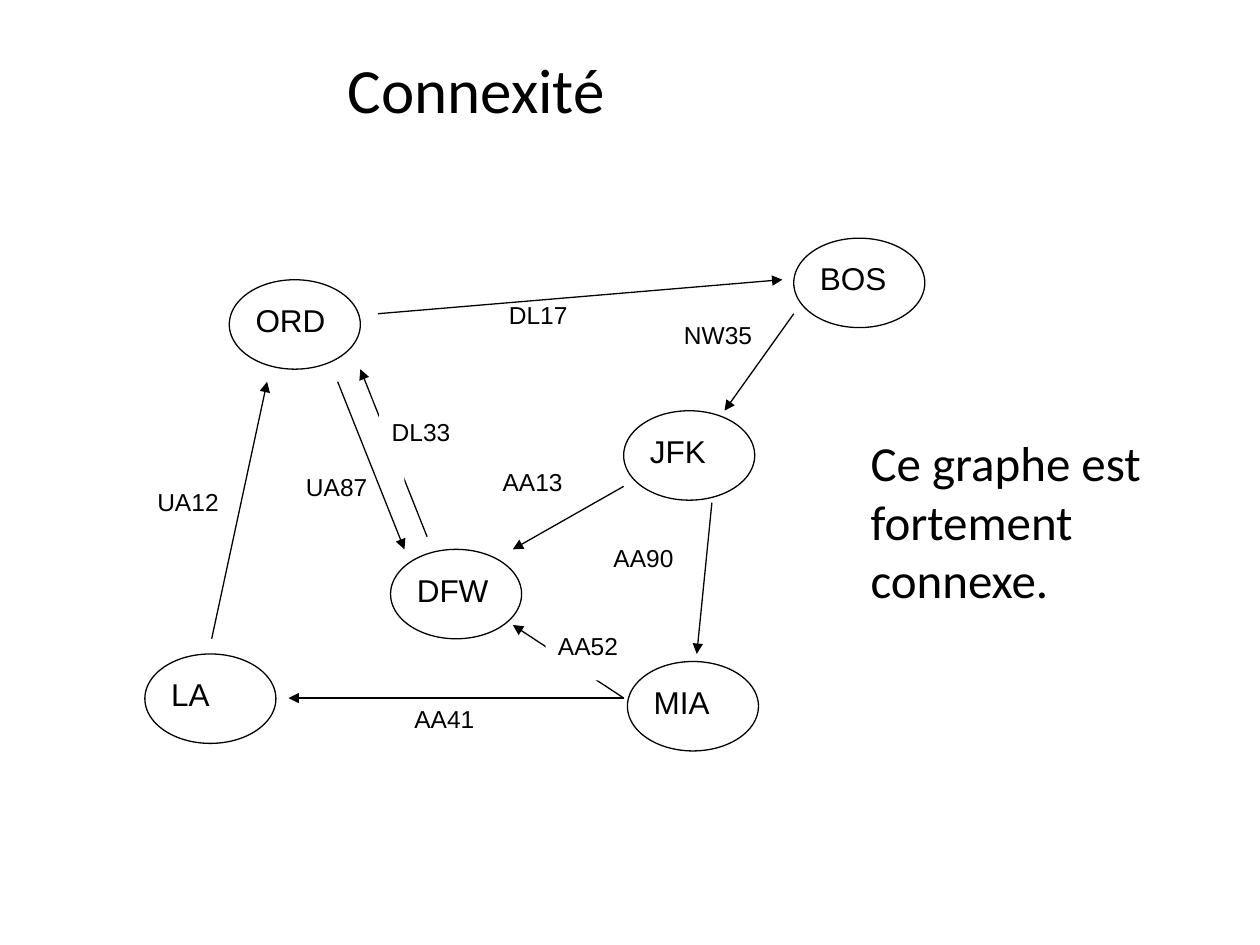
from pptx import Presentation
from pptx.dml.color import RGBColor
from pptx.enum.shapes import MSO_CONNECTOR, MSO_SHAPE
from pptx.enum.text import MSO_ANCHOR, MSO_AUTO_SIZE, PP_ALIGN
from pptx.oxml.ns import qn
from pptx.util import Inches, Pt
from lxml import etree

BLACK = RGBColor(0x00, 0x00, 0x00)
WHITE = RGBColor(0xFF, 0xFF, 0xFF)
RECTANGLE, OVAL = MSO_SHAPE.RECTANGLE, MSO_SHAPE.OVAL
STRAIGHT = MSO_CONNECTOR.STRAIGHT
TOP, LEFT, NO_FIT = MSO_ANCHOR.TOP, PP_ALIGN.LEFT, MSO_AUTO_SIZE.NONE

AIRPORTS = {
    "JFK": (4.95, 3.26),
    "LA": (1.15, 5.19),
    "DFW": (3.10, 4.36),
    "MIA": (4.98, 5.25),
    "BOS": (6.30, 1.89),
    "ORD": (1.82, 2.22),
}
FLIGHTS = {
    "DL33": ((3.39, 4.26), (2.86, 2.93)),
    "DL17": ((3.00, 2.49), (6.21, 2.22)),
    "AA52": ((4.95, 5.54), (4.07, 4.96)),
    "NW35": ((6.30, 2.49), (5.75, 3.26)),
    "AA13": ((4.95, 3.86), (4.07, 4.36)),
    "AA41": ((4.95, 5.54), (2.29, 5.54)),
    "UA87": ((2.68, 3.03), (3.21, 4.36)),
    "UA12": ((1.68, 5.07), (2.12, 3.03)),
    "AA90": ((5.65, 3.99), (5.53, 5.19)),
}
LABELS_UNDER_ARROWS = {
    "DL17": (3.94, 2.33),
    "UA12": (1.15, 3.82),
    "UA87": (2.33, 3.70),
    "AA41": (3.19, 5.54),
    "AA90": (4.77, 4.26),
    "AA13": (3.89, 3.66),
    "NW35": (5.33, 2.49),
}
LABELS_OVER_ARROWS = {"AA52": (4.33, 4.96), "DL33": (3.01, 3.26)}


class GraphSlide:
    graph_font = "Arial"
    text_font = "Calibri"
    line_width = Pt(0.75)

    def __init__(self, presentation):
        self.slide = presentation.slides.add_slide(presentation.slide_layouts[1])
        self.graph = self.slide.shapes.add_group_shape()

    def add_lines(self, frame, lines, font, size):
        frame.vertical_anchor = TOP
        for index, line in enumerate(lines):
            paragraph = frame.paragraphs[0] if index == 0 else frame.add_paragraph()
            paragraph.alignment = LEFT
            paragraph.space_before = Pt(0)
            run = paragraph.add_run()
            run.text = line
            run.font.name = font
            run.font.size = Pt(size)
            run.font.color.rgb = BLACK

    def placeholder(self, index, lines, box, size):
        holder = self.slide.placeholders[index]
        holder.left, holder.top, holder.width, holder.height = map(Inches, box)
        holder.text_frame.auto_size = NO_FIT
        holder.text_frame.word_wrap = False
        self.add_lines(holder.text_frame, lines, self.text_font, size)
        return holder

    def title(self, text, box):
        self.placeholder(0, [text], box, 36)

    def body(self, lines, box):
        holder = self.placeholder(1, lines, box, 28)
        for paragraph in holder.text_frame.paragraphs:
            properties = paragraph._p.get_or_add_pPr()
            properties.set("marL", "0")
            properties.set("indent", "0")
            etree.SubElement(properties, qn("a:buNone"))

    def label(self, text, position, size=14, width=0.88, height=0.44):
        box = map(Inches, (*position, width, height))
        label = self.graph.shapes.add_shape(RECTANGLE, *box)
        label.shadow.inherit = False
        label.fill.solid()
        label.fill.fore_color.rgb = WHITE
        label.line.fill.background()
        label.text_frame.word_wrap = True
        self.add_lines(label.text_frame, [text], self.graph_font, size)

    def airport(self, name, x, y):
        self.label(name, (x + 0.11, y + 0.12), 18, 0.86, 0.48)
        node = self.graph.shapes.add_shape(OVAL, *map(Inches, (x, y, 1.04, 0.71)))
        node.shadow.inherit = False
        node.fill.background()
        node.line.color.rgb = BLACK
        node.line.width = self.line_width

    def arrow(self, start, end):
        arrow = self.graph.shapes.add_connector(STRAIGHT, *map(Inches, start + end))
        arrow.line.color.rgb = BLACK
        arrow.line.width = self.line_width
        outline = arrow._element.spPr.find(qn("a:ln"))
        etree.SubElement(outline, qn("a:tailEnd"), type="triangle")
        etree.SubElement(arrow._element.spPr, qn("a:effectLst"))


presentation = Presentation()
presentation.slide_width = Inches(10)
presentation.slide_height = Inches(7.5)

connectivity = GraphSlide(presentation)
connectivity.title("Connexité", (2.66, 0.35, 2.26, 0.71))
connectivity.body(
    ["Ce graphe est ", "fortement ", "connexe."], (6.81, 3.38, 2.46, 1.51)
)

connectivity.arrow(*FLIGHTS.pop("DL33"))
for flight, position in LABELS_UNDER_ARROWS.items():
    connectivity.label(flight, position)
for start, end in FLIGHTS.values():
    connectivity.arrow(start, end)
for flight, position in LABELS_OVER_ARROWS.items():
    connectivity.label(flight, position)
for name, (x, y) in AIRPORTS.items():
    connectivity.airport(name, x, y)

presentation.save("out.pptx")
